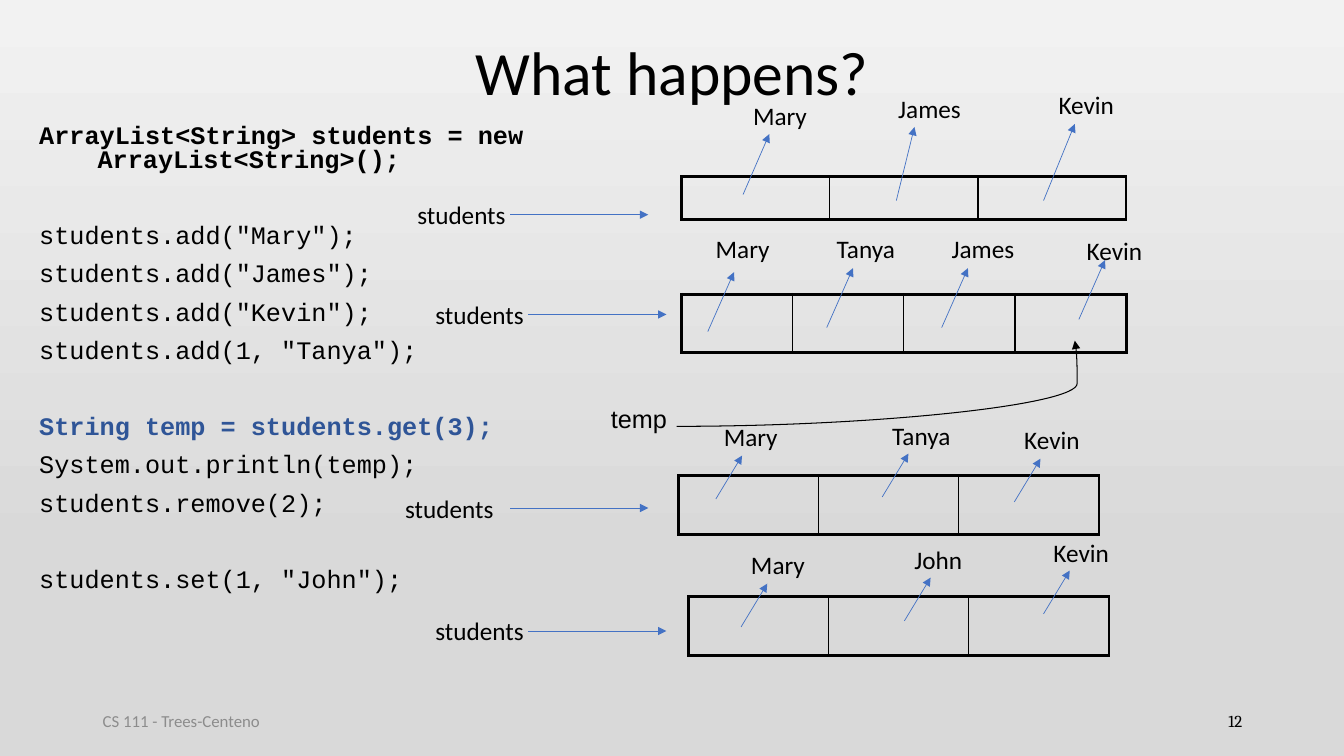
"""Build a slide tracing how an ArrayList of students changes."""
from dataclasses import dataclass
from typing import Any

import lxml.etree
import pptx
import pptx.dml.color
import pptx.enum.shapes
import pptx.enum.text
import pptx.oxml
import pptx.oxml.ns
import pptx.util

Inches = pptx.util.Inches
Pt = pptx.util.Pt
ALIGN = pptx.enum.text.PP_ALIGN
ANCHOR = pptx.enum.text.MSO_ANCHOR
CONNECTOR = pptx.enum.shapes.MSO_CONNECTOR
qn = pptx.oxml.ns.qn

COLORS = {"black": "000000", "pointer": "4472C4", "highlight": "2F5597",
          "footer": "8C8C8C", "light": "F2F2F2", "shade": "D9D9D9"}
OUTER, INNER = 2.25, 1


@dataclass
class Element:
    name: str
    left: float
    top: float
    start_x: float
    start_y: float
    run: float = 0.26
    rise: float = 0.43


@dataclass
class ListState:
    left: float
    top: float
    width: float
    height: float
    variable_left: float
    variable_top: float
    pointer_left: float
    elements: list[Element]


@dataclass
class CodeLine:
    text: str
    bold: bool = False
    color: str = "black"
    space_before: float = 10


STATES = [
    ListState(6.76, 1.75, 4.41, 0.43, 4.04, 1.93, 5.06, [
        Element("Mary", 7.37, 0.95, 7.37, 1.93, rise=0.6),
        Element("James", 8.81, 0.88, 8.89, 1.99, 0.18, 0.73),
        Element("Kevin", 10.4, 0.84, 10.35, 1.99, 0.31, 0.76)]),
    ListState(6.76, 2.92, 4.41, 0.58, 4.22, 2.92, 5.24, [
        Element("Mary", 7, 2.27, 7.02, 3.29, rise=0.59),
        Element("Tanya", 8.2, 2.27, 8.2, 3.25, rise=0.59),
        Element("James", 9.34, 2.27, 9.34, 3.25, rise=0.59),
        Element("Kevin", 10.68, 2.29, 10.7, 3.17, rise=0.59)]),
    ListState(6.73, 4.72, 4.17, 0.58, 3.92, 4.84, 5.06, [
        Element("Mary", 7.08, 4.13, 7.1, 4.95),
        Element("Tanya", 8.75, 4.12, 8.75, 4.93),
        Element("Kevin", 10.06, 4.16, 10.06, 4.98)]),
    ListState(6.83, 5.92, 4.17, 0.58, 4.22, 6.06, 5.24, [
        Element("Mary", 7.35, 5.4, 7.35, 6.22),
        Element("John", 8.97, 5.35, 8.97, 6.16),
        Element("Kevin", 10.35, 5.28, 10.35, 6.09)]),
]

CODE = [
    CodeLine("ArrayList<String> students = new ArrayList<String>();", bold=True),
    CodeLine('students.add("Mary");', space_before=37.2),
    CodeLine('students.add("James");'),
    CodeLine('students.add("Kevin");'),
    CodeLine('students.add(1, "Tanya");'),
    CodeLine("String temp = students.get(3);", True, "highlight", 37.2),
    CodeLine("System.out.println(temp);"),
    CodeLine("students.remove(2);"),
    CodeLine('students.set(1, "John");', space_before=37.2),
]


def rgb(color: str) -> pptx.dml.color.RGBColor:
    return pptx.dml.color.RGBColor.from_string(COLORS[color])


def apply(target: Any, values: dict[str, Any]) -> None:
    for attribute, value in values.items():
        setattr(target, attribute, value)


def add_text(slide: Any, text: str, left: float, top: float, width: float,
             height: float = 0.4, size: float = 18, font: str = "Calibri",
             color: str = "black", align: Any = ALIGN.LEFT,
             anchor: Any = ANCHOR.TOP, spacing: float = 1) -> Any:
    frame = slide.shapes.add_textbox(
        Inches(left), Inches(top), Inches(width), Inches(height)).text_frame
    apply(frame, {"word_wrap": True, "vertical_anchor": anchor, "text": text})
    paragraph = frame.paragraphs[0]
    apply(paragraph, {"alignment": align, "line_spacing": spacing})
    letters = paragraph.runs[0].font
    apply(letters, {"size": Pt(size), "name": font})
    letters.color.rgb = rgb(color)
    return frame


def add_arrow(slide: Any, start: tuple[float, float], end: tuple[float, float],
              color: str = "pointer", weight: float = 0.5,
              kind: Any = CONNECTOR.STRAIGHT) -> Any:
    arrow = slide.shapes.add_connector(kind, *map(Inches, start + end))
    arrow.line.width = Pt(weight)
    arrow.line.color.rgb = rgb(color)
    lxml.etree.SubElement(arrow.line._get_or_add_ln(), qn("a:tailEnd"), type="triangle")
    lxml.etree.SubElement(arrow._element.spPr, qn("a:effectLst"))
    return arrow


def set_borders(cell: Any, weights: dict[str, float]) -> None:
    for position, (side, weight) in enumerate(weights.items()):
        border = lxml.etree.Element(qn(f"a:ln{side}"), w=str(Pt(weight)))
        fill = lxml.etree.SubElement(border, qn("a:solidFill"))
        lxml.etree.SubElement(fill, qn("a:srgbClr"), val=COLORS["black"])
        cell._tc.get_or_add_tcPr().insert(position, border)


def add_state(slide: Any, state: ListState) -> None:
    count = len(state.elements)
    array = slide.shapes.add_table(
        1, count, Inches(state.left), Inches(state.top),
        Inches(state.width), Inches(state.height)).table
    apply(array, {"first_row": False, "horz_banding": False})
    for index, cell in enumerate(array.iter_cells()):
        cell.fill.background()
        set_borders(cell, {"L": OUTER if index == 0 else INNER,
                           "R": OUTER if index == count - 1 else INNER,
                           "T": OUTER, "B": OUTER})
    add_text(slide, "students", state.variable_left, state.variable_top, 1.69)
    pointer_y = state.variable_top + 0.2
    add_arrow(slide, (state.pointer_left, pointer_y),
              (state.pointer_left + 1.37, pointer_y))
    for element in state.elements:
        add_arrow(slide, (element.start_x, element.start_y),
                  (element.start_x + element.run, element.start_y - element.rise))
        add_text(slide, element.name, element.left, element.top, 2.41)


def add_code(slide: Any, lines: list[CodeLine]) -> None:
    frame = add_text(slide, "\n".join(line.text for line in lines),
                     0.29, 1.19, 5.43, 5.56)
    for paragraph, line in zip(frame.paragraphs, lines):
        apply(paragraph, {"line_spacing": 0.8, "space_before": Pt(line.space_before)})
        properties = paragraph._p.get_or_add_pPr()
        properties.set("marL", str(Inches(0.58)))
        properties.set("indent", str(Inches(-0.58)))
        letters = paragraph.runs[0].font
        apply(letters, {"size": Pt(18), "name": "Courier New", "bold": line.bold})
        letters.color.rgb = rgb(line.color)


def main() -> None:
    deck = pptx.Presentation()
    apply(deck, {"slide_width": Inches(13.33), "slide_height": Inches(7.5)})
    slide = deck.slides.add_slide(deck.slide_layouts[6])

    backdrop = slide.background.fill
    backdrop.gradient()
    backdrop.gradient_angle = 270
    for stop, color, position in zip(backdrop.gradient_stops, ("light", "shade"), (0, 0.74)):
        stop.color.rgb = rgb(color)
        stop.position = position

    add_text(slide, "What happens?", 0.67, 0.3, 12, 0.89, size=44,
             align=ALIGN.CENTER, anchor=ANCHOR.MIDDLE, spacing=0.9)
    add_code(slide, CODE)
    for state in STATES:
        add_state(slide, state)

    add_text(slide, "temp", 5.96, 3.95, 1.35, font="Arial")
    temp_pointer = add_arrow(slide, (6.71, 4.23), (10.66, 3.38), "black", 0.75,
                             CONNECTOR.CURVE)
    bends = temp_pointer._element.spPr.find(qn("a:prstGeom")).find(qn("a:avLst"))
    lxml.etree.SubElement(bends, qn("a:gd"), name="adj1", fmla="val 100600")

    add_text(slide, "CS 111 - Trees-Centeno", 0.92, 6.95, 3, size=12,
             color="footer", anchor=ANCHOR.MIDDLE)
    add_text(slide, "12", 9.42, 6.95, 3, size=12, font="Cambria",
             align=ALIGN.RIGHT, anchor=ANCHOR.MIDDLE)
    deck.save("out.pptx")


main()
